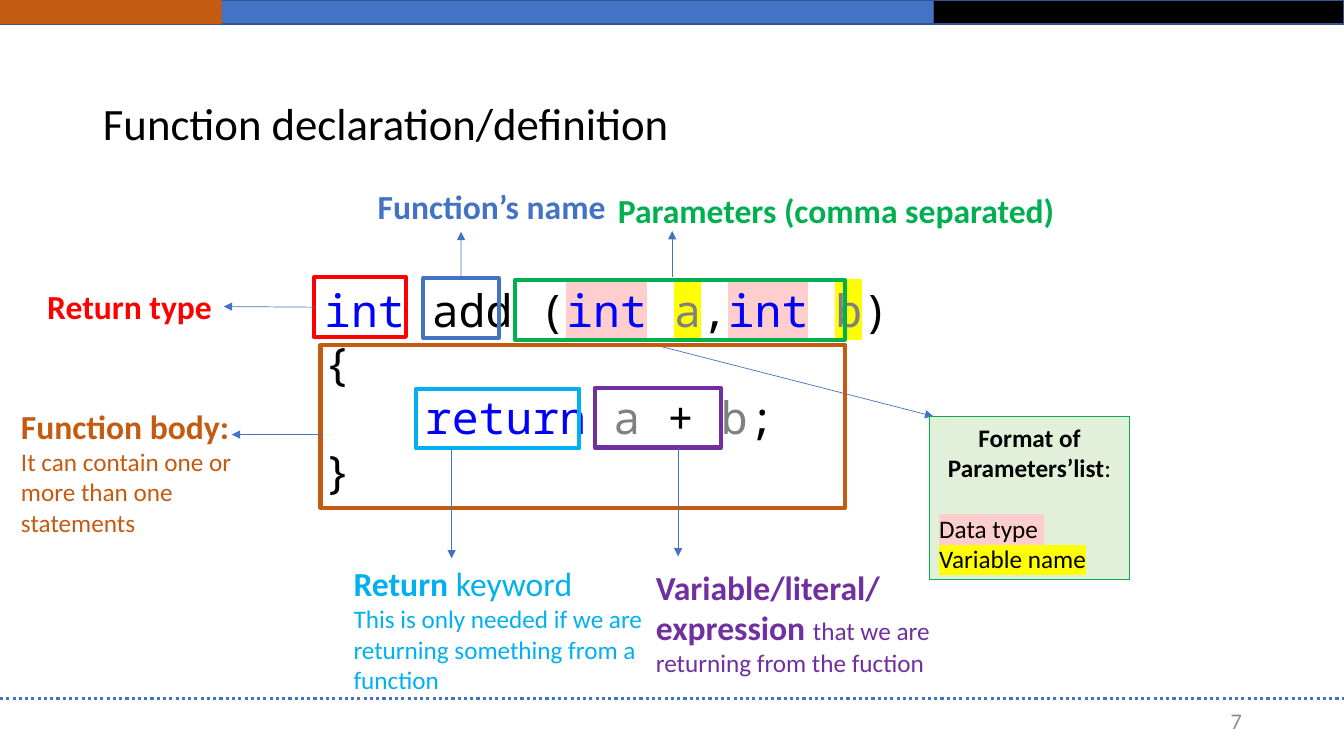
from dataclasses import dataclass

from lxml.etree import SubElement
from pptx import Presentation
from pptx.dml.color import RGBColor
from pptx.enum.dml import MSO_LINE
from pptx.enum.shapes import MSO_CONNECTOR, MSO_SHAPE
from pptx.enum.text import MSO_ANCHOR, PP_ALIGN
from pptx.oxml.ns import qn
from pptx.util import Cm, Pt


@dataclass(frozen=True)
class Theme:
    font: str = "Calibri"
    mono: str = "Noto Sans Mono"
    large: int = 32
    label: int = 24
    small: int = 18
    page: int = 16
    black: str = "000000"
    grey: str = "8C8C8C"
    blue: str = "4472C4"
    edge: str = "325491"
    red: str = "FF0000"
    green: str = "00B050"
    pale: str = "E2F0D9"
    rust: str = "C55A11"
    cyan: str = "00B0F0"
    purple: str = "7030A0"
    key: str = "0000FF"
    name: str = "808080"
    pink: str = "FECECE"
    yellow: str = "FFFF00"


T = Theme()


def rgb(code):
    return RGBColor.from_string(code)


def style(font, face=None, size=None, color=None, bold=None):
    if face:
        font.name = face
    if size:
        font.size = Pt(size)
    if color:
        font.color.rgb = rgb(color)
    if bold is not None:
        font.bold = bold


def write(frame, index, runs, align=PP_ALIGN.LEFT, after=0, indent=0, **look):
    """Fill one paragraph; each run is (text, own look, optional highlight)."""
    para = frame.paragraphs[0] if index == 0 else frame.add_paragraph()
    para.alignment = align
    para.space_after = Pt(after)
    if indent:
        props = para._p.get_or_add_pPr()
        props.set("marL", str(int(Cm(indent))))
        props.set("indent", "0")
    style(para.font, **{"face": T.font, **look})
    for text, own, *mark in runs:
        run = para.add_run()
        run.text = text
        style(run.font, **own)
        for color in mark:
            light = SubElement(run.font._element, qn("a:highlight"))
            SubElement(light, qn("a:srgbClr"), val=color)
    return para


def add_text(slide, place, *paras, wrap=True):
    """Place a text box; each paragraph is (runs, look)."""
    box = slide.shapes.add_textbox(*map(Cm, place))
    box.text_frame.word_wrap = wrap
    for index, (runs, look) in enumerate(paras):
        write(box.text_frame, index, runs, **look)
    return box


def add_label(slide, place, text, color):
    look = dict(size=T.label, color=color, bold=True)
    return add_text(slide, place, ([(text, {})], look), wrap=False)


def add_box(slide, place, line=None, width=3, fill=None):
    box = slide.shapes.add_shape(MSO_SHAPE.RECTANGLE, *map(Cm, place))
    box.shadow.inherit = False
    if fill:
        box.fill.solid()
        box.fill.fore_color.rgb = rgb(fill)
    else:
        box.fill.background()
    if line:
        box.line.color.rgb = rgb(line)
        box.line.width = Pt(width)
    else:
        box.line.fill.background()
    return box


def add_line(slide, start, end, width):
    line = slide.shapes.add_connector(
        MSO_CONNECTOR.STRAIGHT, *map(Cm, (*start, *end)))
    line.line.color.rgb = rgb(T.blue)
    line.line.width = Pt(width)
    SubElement(line._element.spPr, qn("a:effectLst"))
    return line


def add_arrow(slide, start, end):
    line = add_line(slide, start, end, 0.5)
    SubElement(line.line._get_or_add_ln(), qn("a:tailEnd"), type="triangle")
    return line


def add_frame(slide):
    """Draw the top bars, the dotted foot line and the page number."""
    add_box(slide, (0, 0, 23.52, 0.61), T.edge, 1, T.blue)
    add_box(slide, (23.52, 0, 10.35, 0.61), T.edge, 1, T.black)
    add_box(slide, (0, 0, 5.59, 0.61), fill=T.rust)
    foot = add_line(slide, (0, 17.6), (33.87, 17.6), 2.25)
    foot.line.dash_style = MSO_LINE.ROUND_DOT
    page = add_text(slide, (23.93, 17.65, 7.62, 1.02), (
        [("7", {})], dict(align=PP_ALIGN.RIGHT, size=T.page, color=T.grey)))
    page.text_frame.vertical_anchor = MSO_ANCHOR.MIDDLE


def set_title(slide, text):
    title = slide.shapes.title
    title.left, title.top, title.width, title.height = map(
        Cm, (2.34, 2.11, 29.21, 2.13))
    title.text_frame.vertical_anchor = MSO_ANCHOR.MIDDLE
    para = write(title.text_frame, 0, [(text, {})],
                 size=T.large, color=T.black)
    para.line_spacing = 0.9


def add_code(slide):
    key, name, plain = (dict(color=c) for c in (T.key, T.name, T.black))
    kind = ("int", key, T.pink)
    look = dict(face=T.mono, size=T.large)
    add_text(
        slide, (7.92, 6.99, 16.94, 5.74),
        ([("int", key), (" add (", plain), kind, (" ", plain),
          ("a", name, T.yellow), (",", plain), kind, (" ", plain),
          ("b", name, T.yellow), (")", plain)], look),
        ([("{", plain)], look),
        ([("return ", key), ("a", name), (" + ", plain), ("b", name),
          (";", plain)], dict(indent=2.54, **look)),
        ([("}", plain)], look))


def add_head(slide):
    """Mark the return type, name and parameters."""
    kind = add_box(slide, (7.92, 6.99, 2.31, 1.5), T.red)
    label = add_label(slide, (0.94, 7.09, 4.7, 1.27), "Return type", T.red)
    arrow = add_arrow(slide, (7.92, 7.74), (5.64, 7.74))
    arrow.begin_connect(kind, 1)
    arrow.end_connect(label, 3)

    name = add_box(slide, (10.67, 7.01, 1.9, 1.5), T.blue)
    add_arrow(slide, (11.62, 7.01), (11.62, 5.84)).begin_connect(name, 0)
    add_label(slide, (9.27, 4.57, 6.32, 1.27), "Function’s name", T.blue)

    add_box(slide, (12.98, 7.06, 8.31, 1.5), T.green)
    add_arrow(slide, (16.94, 6.99), (16.94, 5.82))
    add_label(slide, (15.32, 4.65, 11.63, 1.27),
              "Parameters (comma separated)", T.green)


def add_format(slide):
    add_arrow(slide, (16.38, 8.66), (23.52, 10.49))
    box = add_box(slide, (23.42, 10.49, 5.05, 4.11), T.green, 0.75, T.pale)
    frame = box.text_frame
    frame.word_wrap = True
    look = dict(size=T.small, color=T.black)
    write(frame, 0, [("Format of Parameters’list", dict(bold=True)),
                     (":", {})], PP_ALIGN.CENTER, after=22, **look)
    write(frame, 1, [("Data type ", {}, T.pink)], **look)
    write(frame, 2, [("Variable name", {}, T.yellow)], **look)


def add_body(slide):
    """Mark the function body, return keyword and returned value."""
    strong = dict(size=T.label, bold=True)
    small = dict(size=T.small)

    add_box(slide, (8.08, 8.69, 13.21, 4.11), T.rust)
    add_arrow(slide, (8.15, 10.95), (5.84, 10.95))
    add_text(slide, (0.28, 10.11, 6.32, 3.58),
             ([("Function body:", {})], dict(color=T.rust, **strong)),
             ([("It can contain one or more than one statements", {})],
              dict(color=T.rust, **small)))

    add_box(slide, (10.49, 9.8, 4.11, 1.5), T.cyan)
    add_arrow(slide, (11.38, 11.3), (11.38, 14.07))
    add_text(slide, (8.66, 14.07, 8.38, 3.58),
             ([("Return ", dict(bold=True)), ("keyword", {})],
              dict(size=T.label, color=T.cyan)),
             ([("This is only needed if we are returning something "
                "from a function", {})], dict(color=T.cyan, **small)))

    add_box(slide, (14.99, 9.78, 3.18, 1.5), T.purple)
    add_arrow(slide, (17.09, 11.28), (17.09, 14.02))
    add_text(slide, (16.28, 14.15, 8.38, 3.18),
             ([("Variable/literal/ expression ", strong),
               ("that we are returning from the fuction", small)],
              dict(color=T.purple)))


def main():
    deck = Presentation()
    deck.slide_width, deck.slide_height = Cm(33.87), Cm(19.05)
    slide = deck.slides.add_slide(deck.slide_layouts[5])
    add_frame(slide)
    set_title(slide, "Function declaration/definition")
    for add in (add_code, add_head, add_format, add_body):
        add(slide)
    deck.save("out.pptx")


if __name__ == "__main__":
    main()
